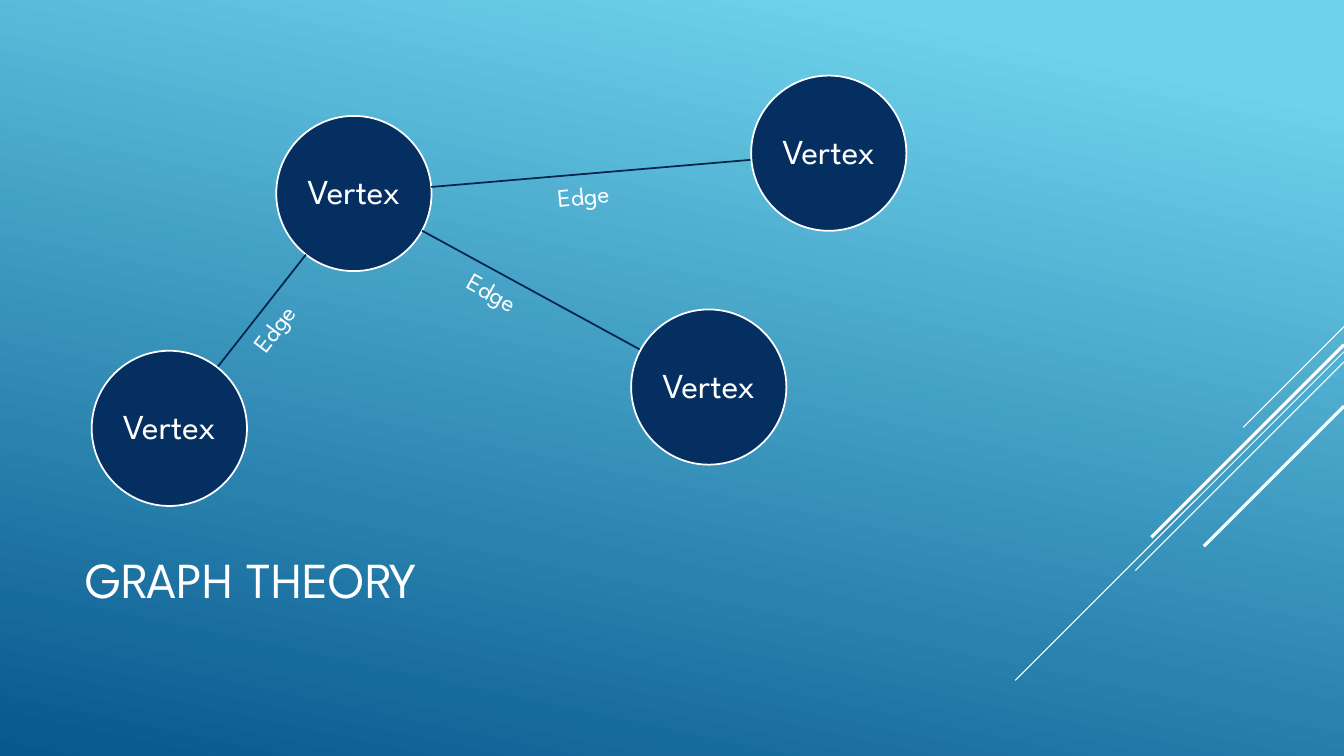
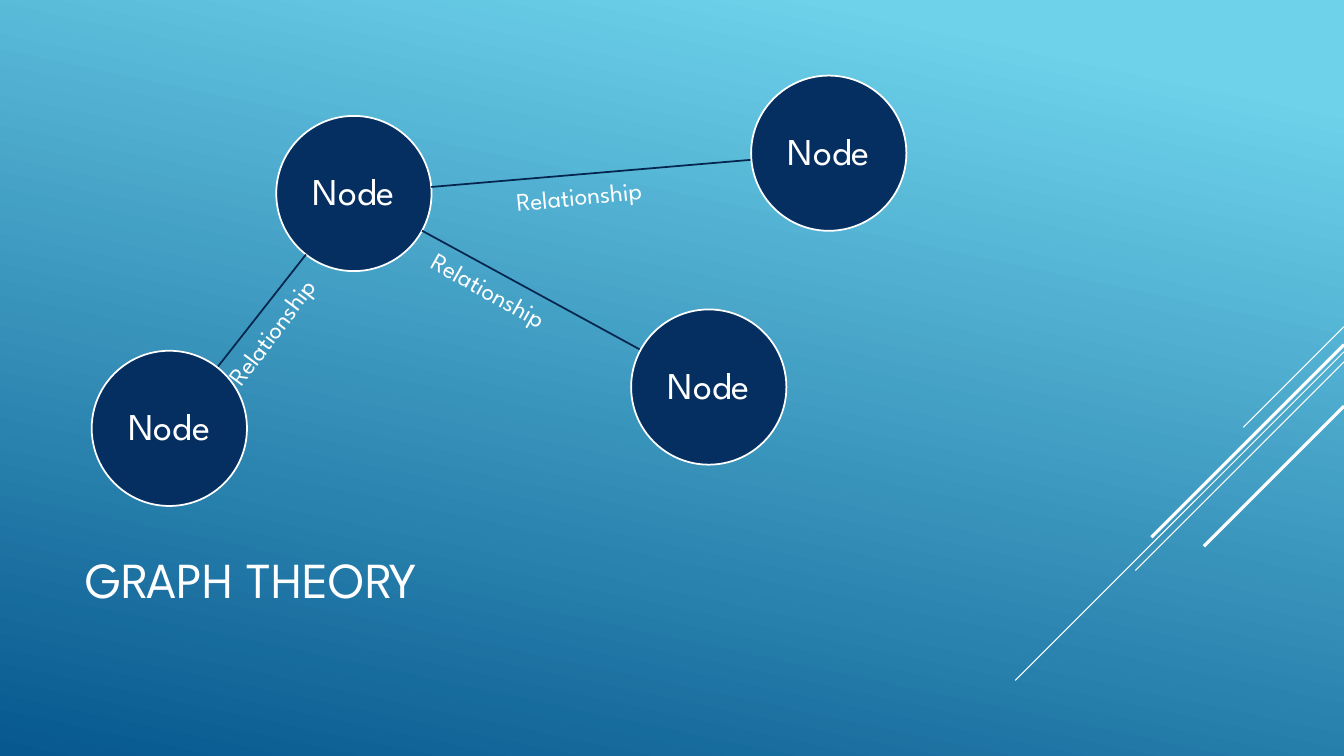
import math

from lxml import etree
from pptx import Presentation
from pptx.dml.color import RGBColor
from pptx.enum.shapes import MSO_CONNECTOR, MSO_SHAPE
from pptx.enum.text import MSO_ANCHOR, MSO_AUTO_SIZE, PP_ALIGN
from pptx.oxml.ns import qn
from pptx.util import Inches, Pt

STRAIGHT = MSO_CONNECTOR.STRAIGHT
OVAL = MSO_SHAPE.OVAL
MIDDLE = MSO_ANCHOR.MIDDLE
CENTER = PP_ALIGN.CENTER
FIT_SHAPE = MSO_AUTO_SIZE.SHAPE_TO_FIT_TEXT

WHITE = RGBColor(0xFF, 0xFF, 0xFF)
NAVY = RGBColor(0x05, 0x2F, 0x61)
EDGE_NAVY = RGBColor(0x04, 0x26, 0x4E)
SKY = RGBColor(0x6E, 0xD2, 0xEB)
DEEP_BLUE = RGBColor(0x06, 0x58, 0x8E)
FONT = "League Spartan"

SLIDE_WIDTH, SLIDE_HEIGHT = 13.33, 7.5
RADIUS = 0.77
HUB = (3.51, 1.92)
# Centre of each outer circle, then centre and rotation of its edge label
SPOKES = [
    ((8.22, 1.52), (5.855, 1.93), 354.6),
    ((7.03, 3.84), (4.945, 2.93), 29.5),
    ((1.68, 4.25), (2.755, 3.2), 306.9),
]
LABEL_HEIGHT = 0.4
# Diagonals from the right side: start height, horizontal run, line width
DIAGONALS = [
    (3.24, 1.0, 0.75),
    (3.49, 3.26, 0.75),
    (3.59, 2.07, 0.75),
    (3.42, 1.91, 2.25),
    (4.03, 1.39, 2.25),
]


def set_background(slide):
    fill = slide.background.fill
    fill.gradient()
    fill.gradient_angle = 360 - 102
    for stop, position, color in zip(fill.gradient_stops, (0.1, 1), (SKY, DEEP_BLUE)):
        stop.position = position
        stop.color.rgb = color


def add_line(slide, start, end, color, width):
    points = [Inches(value) for value in (*start, *end)]
    line = slide.shapes.add_connector(STRAIGHT, *points)
    line.line.color.rgb = color
    line.line.width = Pt(width)
    etree.SubElement(line._element.spPr, qn("a:effectLst"))


def write(shape, text, size):
    paragraph = shape.text_frame.paragraphs[0]
    paragraph.text = text
    paragraph.font.name = FONT
    paragraph.font.size = Pt(size)
    paragraph.font.color.rgb = WHITE
    return paragraph


def add_title(slide, text):
    title = slide.shapes.add_textbox(Inches(0.75), Inches(4.91), Inches(9.33), Inches(1.65))
    title.text_frame.word_wrap = True
    title.text_frame.vertical_anchor = MIDDLE
    write(title, text, 36)


def add_circle(slide, center, text, size):
    x, y = center
    circle = slide.shapes.add_shape(
        OVAL, Inches(x - RADIUS), Inches(y - RADIUS), Inches(2 * RADIUS), Inches(2 * RADIUS))
    circle.shadow.inherit = False
    circle.fill.solid()
    circle.fill.fore_color.rgb = NAVY
    circle.line.color.rgb = WHITE
    circle.line.width = Pt(1.25)
    frame = circle.text_frame
    frame.margin_left = frame.margin_right = Inches(0.02)
    frame.margin_top = frame.margin_bottom = Inches(0.02)
    frame.vertical_anchor = MIDDLE
    paragraph = write(circle, text, size)
    paragraph.alignment = CENTER
    paragraph.line_spacing = 0.9


def add_edge(slide, start, end):
    """Join the rims of two circles, given their centres."""
    angle = math.atan2(end[1] - start[1], end[0] - start[0])
    dx, dy = RADIUS * math.cos(angle), RADIUS * math.sin(angle)
    add_line(slide, (start[0] + dx, start[1] + dy), (end[0] - dx, end[1] - dy), EDGE_NAVY, 1.25)


def add_edge_label(slide, center, rotation, text, width):
    x, y = center
    label = slide.shapes.add_textbox(
        Inches(x - width / 2), Inches(y - LABEL_HEIGHT / 2), Inches(width), Inches(LABEL_HEIGHT))
    label.rotation = rotation
    label.text_frame.word_wrap = False
    label.text_frame.auto_size = FIT_SHAPE
    write(label, text, 18)


def add_graph_slide(presentation, circle_text, circle_size, edge_text, label_width):
    slide = presentation.slides.add_slide(presentation.slide_layouts[6])
    set_background(slide)
    for top, run, width in DIAGONALS:
        add_line(slide, (SLIDE_WIDTH, top), (SLIDE_WIDTH - run, top + run), WHITE, width)
    add_title(slide, "GRAPH THEORY")
    add_circle(slide, HUB, circle_text, circle_size)
    for center, _, _ in SPOKES:
        add_edge(slide, HUB, center)
        add_circle(slide, center, circle_text, circle_size)
    for _, label_center, rotation in SPOKES:
        add_edge_label(slide, label_center, rotation, edge_text, label_width)


def main():
    presentation = Presentation()
    presentation.slide_width = Inches(SLIDE_WIDTH)
    presentation.slide_height = Inches(SLIDE_HEIGHT)
    add_graph_slide(presentation, "Vertex", 25, "Edge", 0.85)
    add_graph_slide(presentation, "Node", 27, "Relationship", 1.67)
    presentation.save("out.pptx")


if __name__ == "__main__":
    main()
